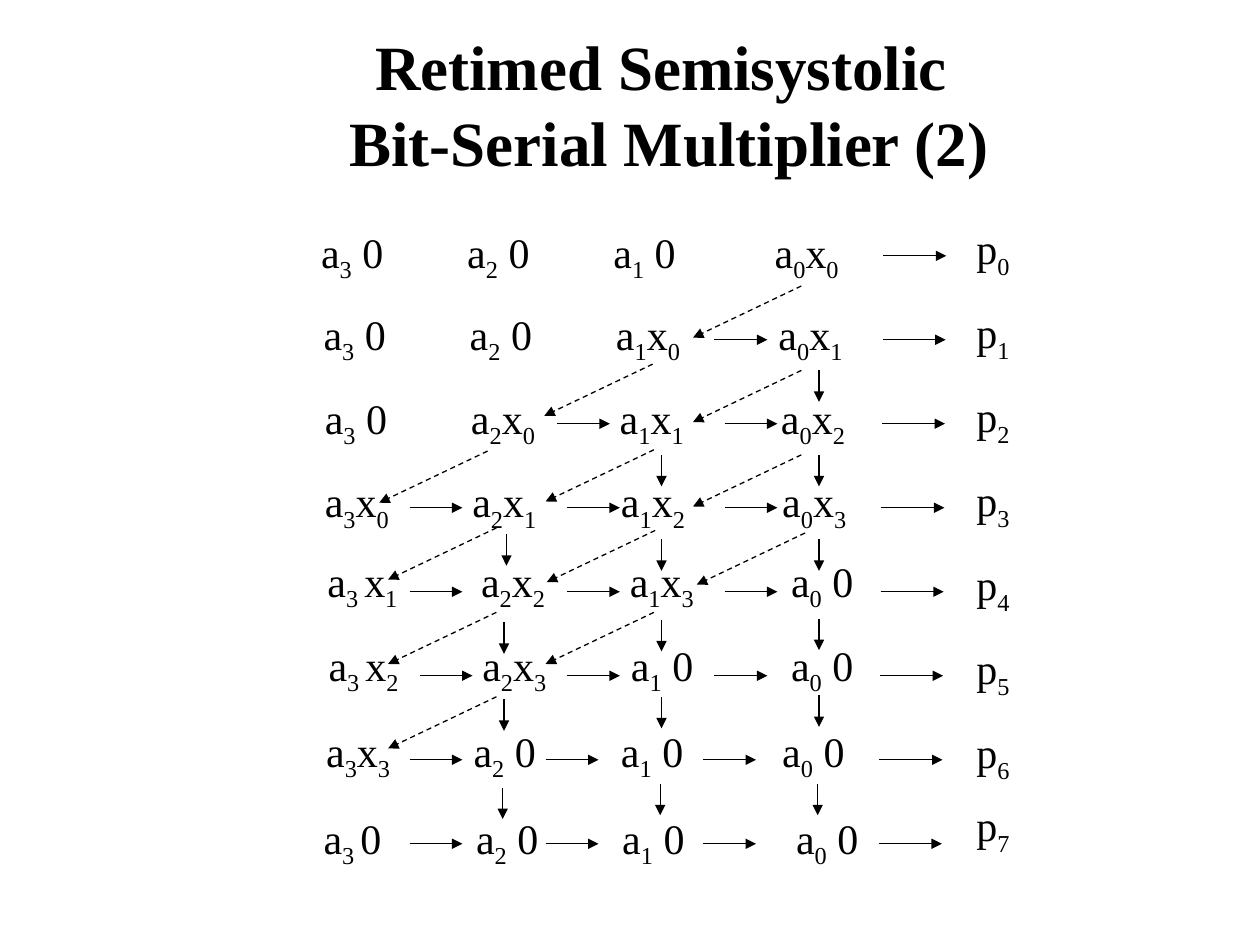
from lxml.etree import SubElement as Sub
from pptx import Presentation
from pptx.dml.color import RGBColor
from pptx.enum.dml import MSO_LINE as Dash
from pptx.enum.shapes import MSO_CONNECTOR as Conn
from pptx.enum.text import PP_ALIGN as Align
from pptx.oxml.ns import qn
from pptx.util import Inches, Pt

BLACK = RGBColor(0, 0, 0)
FACE = "Times New Roman"
BODY = {"name": FACE, "size": Pt(24)}
WIDE = {"name": FACE, "size": Pt(28)}
HEAD = {"name": FACE, "size": Pt(36), "bold": True}
STEP = 2 / 3

TITLE = ["Retimed Semisystolic ", "Bit-Serial Multiplier (2)"]
ROWS = [
    (2.45, 1.69, "a{3} 0|a{2} 0|a{1} 0|a{0}x{0}", (1.16, 2.32, 3.6)),
    (2.47, 2.34, "a{3} 0|a{2} 0|a{1}x{0}|a{0}x{1}", (1.16, 2.32, 3.61)),
    (2.48, 3.01, "a{3} 0|a{2}x{0}|a{1}x{1}|a{0}x{2}", (1.16, 2.34, 3.62)),
    (2.48, 3.67, "a{3}x{0}|a{2}x{1}|a{1}x{2}|a{0}x{3}", (1.17, 2.35, 3.63)),
    (2.5, 4.3, "a{3 }x{1}|a{2}x{2}|a{1}x{3}|a{0} 0", (1.22, 2.4, 3.68)),
    (2.51, 4.97, "a{3 }x{2}|a{2}x{3}|a{1} 0|a{0} 0", (1.22, 2.4, 3.67)),
    (2.49, 5.65, "a{3}x{3}|a{2} 0|a{1} 0|a{0} 0", (1.17, 2.34, 3.62)),
    (2.47, 6.34, "a{3 }0|a{2} 0|a{1} 0|a{0} 0", (1.21, 2.37, 3.75)),
]
RIGHT = [
    (),
    (5.67,),
    (4.42, 5.75),
    (3.25, 4.5, 5.75),
    (3.25, 4.5, 5.75),
    (3.33, 4.5, 5.67),
    (3.25, 4.33, 5.58),
    (3.25, 4.33, 5.58),
]
DOWN = {
    6.5: (2.94, 3.61, 4.28, 4.91, 5.52),
    6.49: (6.22,),
    5.25: (3.61, 4.28, 4.92, 5.53),
    5.24: (6.22,),
    4.02: (4.24,),
    4: (4.94, 5.55),
    3.99: (6.25,),
}
SLANT = [
    (6.36, 2.27), (5.18, 2.89), (3.87, 3.58),
    (6.36, 2.94), (5.19, 3.57), (3.94, 4.19),
    (6.36, 3.61), (5.2, 4.21), (3.94, 4.86),
    (6.39, 4.23), (5.19, 4.86), (3.94, 5.53),
]


def add_box(slide, x, y, w, h, wrap=True):
    box = slide.shapes.add_textbox(Inches(x), Inches(y), Inches(w), Inches(h))
    box.text_frame.word_wrap = wrap
    return box.text_frame


def add_run(para, text, form, sub=False):
    run = para.add_run()
    run.text = text
    for key, value in form.items():
        setattr(run.font, key, value)
    run.font.color.rgb = BLACK
    if sub:
        run._r.get_or_add_rPr().set("baseline", "-25000")


def add_term(para, term):
    first, *parts = term.split("{")
    add_run(para, first, BODY)
    for part in parts:
        low, _, rest = part.partition("}")
        add_run(para, low, BODY, True)
        if rest:
            add_run(para, rest, BODY)


def add_title(slide):
    frame = add_box(slide, 2.67, 0.17, 5.28, 1.3, False)
    for i, line in enumerate(TITLE):
        para = frame.add_paragraph() if i else frame.paragraphs[0]
        para.alignment = Align.CENTER
        add_run(para, line, HEAD)


def add_row(slide, x, y, text, stops):
    para = add_box(slide, x, y, 4.5, 0.61).paragraphs[0]
    tabs = Sub(para._p.get_or_add_pPr(), qn("a:tabLst"))
    for stop in stops:
        Sub(tabs, qn("a:tab"), pos=str(Inches(stop)), algn="l")
    for i, term in enumerate(text.split("|")):
        if i:
            add_run(para, "\t", WIDE if i == len(stops) else BODY)
        add_term(para, term)


def add_arrow(slide, x, y, dx, dy, dash=None):
    ends = [Inches(v) for v in (x, y, x + dx, y + dy)]
    line = slide.shapes.add_connector(Conn.STRAIGHT, *ends)
    line.line.color.rgb = BLACK
    for key, value in {"width": Pt(0.75), "dash_style": dash}.items():
        setattr(line.line, key, value)
    Sub(line.line._get_or_add_ln(), qn("a:tailEnd"), type="triangle")
    Sub(line._element.spPr, qn("a:effectLst"))


def add_flow(slide):
    for i, starts in enumerate(RIGHT):
        y = 2.03 + i * STEP
        add_arrow(slide, 7.01 - i * 0.01 / 2, y, 0.5, 0)
        for x in starts:
            add_arrow(slide, x, y, 0.42, 0)
    for x, tops in DOWN.items():
        for y in tops:
            add_arrow(slide, x, y, 0, 0.25)
    for x, y in SLANT:
        add_arrow(slide, x, y, -0.86, 0.41, Dash.DASH)


def main():
    deck = Presentation()
    deck.slide_width, deck.slide_height = Inches(10), Inches(7.5)
    slide = deck.slides.add_slide(deck.slide_layouts[6])
    add_title(slide)
    for i, row in enumerate(ROWS):
        add_row(slide, *row)
        y = 6.3 if i == len(ROWS) - 1 else 1.72 + i * STEP
        para = add_box(slide, 7.65, y, 0.48, 0.56).paragraphs[0]
        add_term(para, f"p{{{i}}}")
    add_flow(slide)
    deck.save("out.pptx")


if __name__ == "__main__":
    main()
